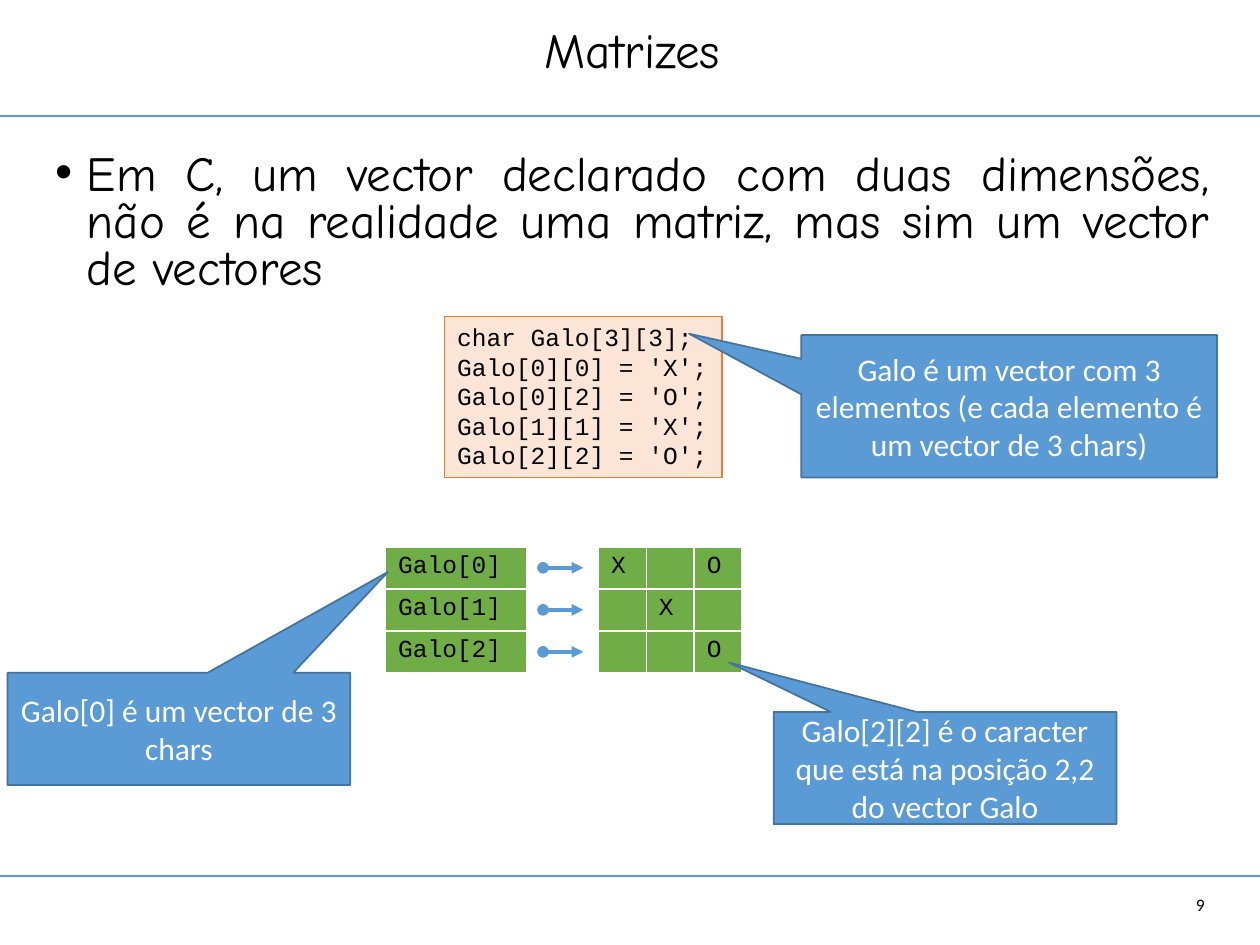
from lxml.etree import SubElement
from pptx import Presentation
from pptx.dml.color import RGBColor
from pptx.enum.shapes import MSO_CONNECTOR as CONN, MSO_SHAPE as SHAPE
from pptx.enum.text import MSO_ANCHOR as ANCHOR, MSO_AUTO_SIZE as FIT, PP_ALIGN as ALIGN
from pptx.oxml.ns import qn
from pptx.util import Inches, Pt

COLORS = {
    "text": "000000", "white": "FFFFFF", "blue": "5B9BD5", "edge": "43739E",
    "green": "70AD47", "peach": "FBE5D6", "orange": "ED7D31",
}
HAND, MONO, SANS = "Comic Neue", "Courier New", "Calibri"


def rgb(name):
    """Look up a colour of the palette."""
    return RGBColor.from_string(COLORS[name])


def box_inches(*box):
    """Turn a box in inches into lengths."""
    return [Inches(v) for v in box]


def add_run(p, text, font, size, color="text"):
    """Append a formatted run to a paragraph."""
    r = p.add_run()
    r.text = text
    r.font.name, r.font.size, r.font.bold = font, Pt(size), False
    r.font.color.rgb = rgb(color)


def add_line(slide, start, end, width, arrow=False):
    """Draw a blue line, with a dot and an arrowhead if asked."""
    cn = slide.shapes.add_connector(CONN.STRAIGHT, *box_inches(*start, *end))
    cn.line.color.rgb, cn.line.width = rgb("blue"), Pt(width)
    if arrow:
        ln = cn.line._get_or_add_ln()
        SubElement(ln, qn("a:headEnd"), type="oval")
        SubElement(ln, qn("a:tailEnd"), type="triangle")
    SubElement(cn._element.spPr, qn("a:effectLst"))


def add_box(slide, box, kind, fill, edge, width):
    """Add a filled and outlined shape without shadow."""
    sp = slide.shapes.add_shape(kind, *box_inches(*box))
    sp.shadow.inherit = False
    sp.fill.solid()
    sp.fill.fore_color.rgb = rgb(fill)
    sp.line.color.rgb, sp.line.width = rgb(edge), Pt(width)
    return sp


def add_title(slide, box, text):
    """Place and format the title placeholder."""
    title = slide.shapes.title
    title.left, title.top, title.width, title.height = box_inches(*box)
    tf = title.text_frame
    tf.vertical_anchor, tf.auto_size = ANCHOR.MIDDLE, FIT.NONE
    p = tf.paragraphs[0]
    p.alignment, p.line_spacing = ALIGN.CENTER, 0.9
    add_run(p, text, HAND, 28)


def add_bullet(slide, box, text):
    """Add the justified bullet text."""
    tf = slide.shapes.add_textbox(*box_inches(*box)).text_frame
    tf.word_wrap = True
    p = tf.paragraphs[0]
    p.alignment, p.line_spacing = ALIGN.JUSTIFY, 0.8
    pPr = p._p.get_or_add_pPr()
    pPr.set("marL", str(Inches(0.25)))
    pPr.set("indent", str(-Inches(0.25)))
    SubElement(pPr, qn("a:buFont"), typeface="Arial")
    SubElement(pPr, qn("a:buChar"), char="•")
    add_run(p, text, HAND, 28)


def add_page_number(slide, box, text):
    """Add the page number."""
    tf = slide.shapes.add_textbox(*box_inches(*box)).text_frame
    tf.word_wrap, tf.vertical_anchor = True, ANCHOR.MIDDLE
    p = tf.paragraphs[0]
    p.alignment = ALIGN.RIGHT
    add_run(p, text, SANS, 10)


def add_code(slide, box, lines):
    """Add the code panel, one paragraph a line."""
    sp = add_box(slide, box, SHAPE.RECTANGLE, "peach", "orange", 0.75)
    tf = sp.text_frame
    tf.word_wrap, tf.auto_size = False, FIT.SHAPE_TO_FIT_TEXT
    tf.vertical_anchor = ANCHOR.TOP
    for i, line in enumerate(lines):
        p = tf.add_paragraph() if i else tf.paragraphs[0]
        p.alignment = ALIGN.LEFT
        add_run(p, line, MONO, 14)


def add_callout(slide, box, tip, text):
    """Add a callout whose tip is offset from its centre."""
    sp = add_box(slide, box, SHAPE.RECTANGULAR_CALLOUT, "blue", "edge", 1)
    sp.adjustments[0], sp.adjustments[1] = tip
    tf = sp.text_frame
    tf.word_wrap, tf.vertical_anchor = True, ANCHOR.MIDDLE
    p = tf.paragraphs[0]
    p.alignment = ALIGN.CENTER
    add_run(p, text, SANS, 18, "white")


def format_cell(cell, text):
    """Fill, border and write one cell."""
    p = cell.text_frame.paragraphs[0]
    if text:
        add_run(p, text, MONO, 14)
    else:
        SubElement(p._p, qn("a:endParaRPr"), sz="1400")
    tcPr = cell._tc.get_or_add_tcPr()
    for side in ("lnL", "lnR", "lnT", "lnB"):
        ln = SubElement(tcPr, qn(f"a:{side}"), w=str(Pt(1)))
        SubElement(SubElement(ln, qn("a:solidFill")), qn("a:srgbClr"), val=COLORS["white"])
    cell.fill.solid()
    cell.fill.fore_color.rgb = rgb("green")


def add_grid(slide, box, rows):
    """Add a green table of equal cells."""
    frame = slide.shapes.add_table(len(rows), len(rows[0]), *box_inches(*box))
    table = frame.table
    table.first_row = table.horz_banding = False
    for i, row in enumerate(rows):
        for j, text in enumerate(row):
            format_cell(table.cell(i, j), text)


def add_vector(slide, box, board):
    """Show each row name with an arrow to its row of the board."""
    left, top, width, height = box
    step = height / len(board)
    add_grid(slide, (left + 1.69, top, width - 1.69, height), board)
    for i in range(len(board)):
        y = top + i * step
        add_grid(slide, (left, y, 1.12, step), [[f"Galo[{i}]"]])
        mid = y + step / 2
        add_line(slide, (left + 1.25, mid), (left + 1.57, mid), 2.25, arrow=True)


def main():
    """Build the slide and save it."""
    prs = Presentation()
    prs.slide_width, prs.slide_height = box_inches(10, 7.5)
    slide = prs.slides.add_slide(prs.slide_layouts[5])
    for y in (0.92, 6.95):
        add_line(slide, (0, y), (10, y), 1.25)
    add_title(slide, (0.34, 0, 9.36, 0.84), "Matrizes")
    add_bullet(slide, (0.34, 1.17, 9.36, 1.33),
               "Em C, um vector declarado com duas dimensões, não é na realidade "
               "uma matriz, mas sim um vector de vectores")
    add_page_number(slide, (8.86, 7.06, 0.8, 0.24), "9")
    add_code(slide, (3.53, 2.51, 2.2, 1.28), [
        "char Galo[3][3];", "Galo[0][0] = 'X';", "Galo[0][2] = 'O';",
        "Galo[1][1] = 'X';", "Galo[2][2] = 'O';"])
    add_vector(slide, (3.06, 4.34, 2.83, 1), ["X", "", "O"] and [
        ["X", "", "O"], ["", "X", ""], ["", "", "O"]])
    add_callout(slide, (6.36, 2.66, 3.3, 1.13), (-0.77, -0.51),
                "Galo é um vector com 3 elementos (e cada elemento é um vector de 3 chars)")
    add_callout(slide, (0.06, 5.34, 2.72, 0.89), (0.61, -1.4),
                "Galo[0] é um vector de 3 chars")
    add_callout(slide, (6.14, 5.65, 2.72, 0.89), (-0.63, -0.94),
                "Galo[2][2] é o caracter que está na posição 2,2 do vector Galo")
    prs.save("out.pptx")


if __name__ == "__main__":
    main()
